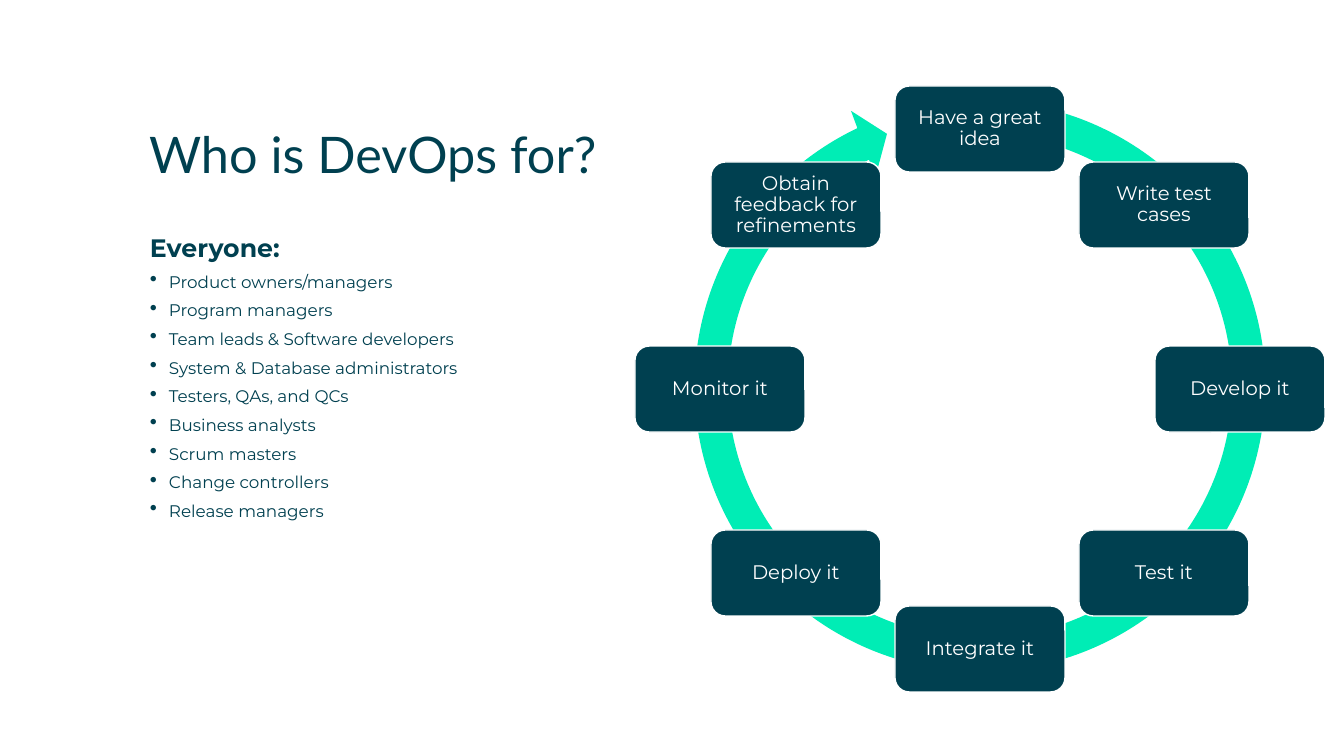
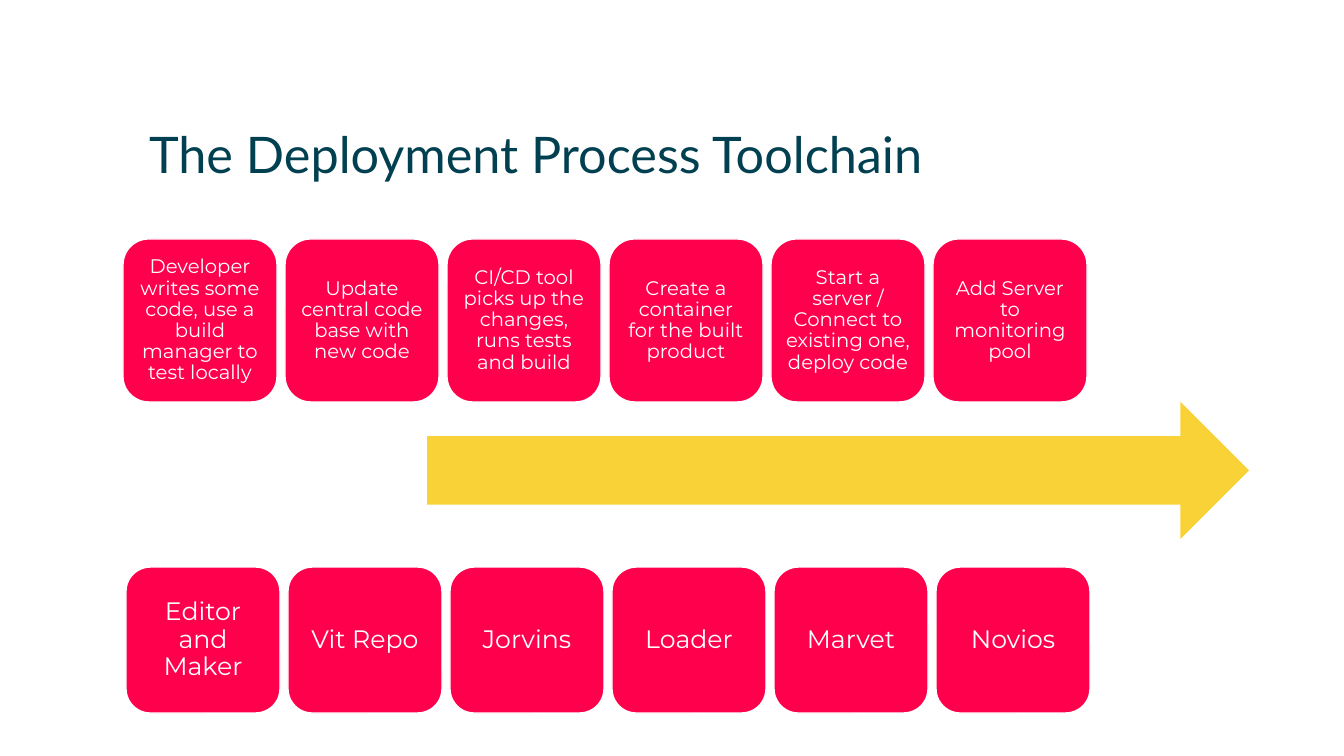
from math import cos, radians, sin

from lxml.etree import SubElement
from pptx import Presentation
from pptx.dml.color import RGBColor
from pptx.enum.shapes import MSO_SHAPE as Shape
from pptx.enum.text import MSO_ANCHOR as Anchor, MSO_AUTO_SIZE as AutoSize, PP_ALIGN as Align
from pptx.oxml.ns import qn
from pptx.util import Emu, Pt

# Shared look
TEAL, MINT, RED, YELLOW, WHITE = "004050", "00EDB5", "FF004C", "F8D237", "FFFFFF"
TITLE_FONT, BODY_FONT = "Lato", "Montserrat"
TITLE_BOX = (149, 125, 1046, 76)
TITLE_ONLY = 5
MARGINS = ("margin_left", "margin_top", "margin_right", "margin_bottom")

# Content
AUDIENCE = [
    "Product owners/managers", "Program managers", "Team leads & Software developers",
    "System & Database administrators", "Testers, QAs, and QCs", "Business analysts",
    "Scrum masters", "Change controllers", "Release managers",
]
CYCLE_STEPS = [
    "Have a great idea", "Write test cases", "Develop it", "Test it",
    "Integrate it", "Deploy it", "Monitor it", "Obtain feedback for refinements",
]
PROCESS_STEPS = [
    "Developer writes some code, use a build manager to test locally",
    "Update central code base with new code",
    "CI/CD tool picks up the changes, runs tests and build",
    "Create a container for the built product",
    "Start a server / Connect to existing one, deploy code",
    "Add Server to monitoring pool",
]
TOOLS = ["Editor and Maker", "Vit Repo", "Jorvins", "Loader", "Marvet", "Novios"]


def px(length):
    return Emu(round(length * 914400 / 100.8))


def color(hex_code):
    return RGBColor.from_string(hex_code)


def apply(target, **formats):
    for name, value in formats.items():
        setattr(target, name, value)


def set_frame(frame, inset=0, anchor=Anchor.TOP):
    apply(frame, word_wrap=True, auto_size=AutoSize.NONE, vertical_anchor=anchor,
          **dict.fromkeys(MARGINS, px(inset)))


def write(paragraph, text, size, hex_code, font=BODY_FONT, bold=False, **formats):
    run = paragraph.add_run()
    run.text = text
    apply(run.font, name=font, size=Pt(size), bold=bold)
    run.font.color.rgb = color(hex_code)
    apply(paragraph, **formats)


def add_titled_slide(deck, text):
    slide = deck.slides.add_slide(deck.slide_layouts[TITLE_ONLY])
    title = slide.shapes.title
    apply(title, **dict(zip(("left", "top", "width", "height"), map(px, TITLE_BOX))))
    set_frame(title.text_frame)
    write(title.text_frame.paragraphs[0], text, 36, TEAL, TITLE_FONT,
          alignment=Align.LEFT, line_spacing=Pt(42))
    return slide


def add_filled(slide, preset, box, fill):
    shape = slide.shapes.add_shape(preset, *map(px, box))
    shape.shadow.inherit = False
    shape.fill.solid()
    shape.fill.fore_color.rgb = color(fill)
    shape.line.fill.background()
    return shape


def add_card(slide, text, box, fill, size, inset):
    card = add_filled(slide, Shape.ROUNDED_RECTANGLE, box, fill)
    card.line.color.rgb = color(WHITE)
    card.line.width = Pt(1)
    set_frame(card.text_frame, inset, Anchor.MIDDLE)
    write(card.text_frame.paragraphs[0], text, size, WHITE,
          alignment=Align.CENTER, line_spacing=0.9)


def add_bullet(paragraph):
    properties = paragraph._p.get_or_add_pPr()
    indent = px(19)
    properties.set("marL", str(indent))
    properties.set("indent", str(-indent))
    SubElement(properties, qn("a:buSzPct")).set("val", "125000")
    SubElement(properties, qn("a:buChar")).set("char", "•")


def add_audience(slide, heading, members, box):
    frame = slide.shapes.add_textbox(*map(px, box)).text_frame
    set_frame(frame)
    write(frame.paragraphs[0], heading, 18, TEAL, bold=True,
          line_spacing=Pt(22), space_after=Pt(6.5))
    for member in members:
        paragraph = frame.add_paragraph()
        write(paragraph, member, 12, TEAL, line_spacing=Pt(14), space_after=Pt(6.5))
        add_bullet(paragraph)


def add_cycle(slide, steps):
    ring = add_filled(slide, Shape.CIRCULAR_ARROW, (676, 82, 608, 608), MINT)
    for index, value in enumerate((0.055, 3.307, 146.547, 168.711, 0.058)):
        ring.adjustments[index] = value
    # Steps sit at equal angles, clockwise from the top
    center_x, center_y, radius, width, height = 980, 389, 260, 170, 86
    for index, step in enumerate(steps):
        angle = radians(360 * index / len(steps))
        left = round(center_x + radius * sin(angle) - width / 2)
        top = round(center_y - radius * cos(angle) - height / 2)
        add_card(slide, step, (left, top, width, height), TEAL, 14, 6)


def add_card_row(slide, texts, left, top, height, size, inset):
    width, pitch = 154, 162
    for index, text in enumerate(texts):
        add_card(slide, text, (left + index * pitch, top, width, height), RED, size, inset)


def main():
    deck = Presentation()
    apply(deck, slide_width=px(1344), slide_height=px(756))

    # Audience and development cycle
    audience = add_titled_slide(deck, "Who is DevOps for?")
    add_audience(audience, "Everyone:", AUDIENCE, (150, 232, 1045, 483))
    add_cycle(audience, CYCLE_STEPS)

    # Process steps above the tools that serve them
    toolchain = add_titled_slide(deck, "The Deployment Process Toolchain")
    add_filled(toolchain, Shape.RIGHT_ARROW, (427, 402, 822, 137), YELLOW)
    add_card_row(toolchain, TOOLS, 126, 567, 146, 18, 10)
    add_card_row(toolchain, PROCESS_STEPS, 123, 239, 163, 14, 7)

    deck.save("out.pptx")


if __name__ == "__main__":
    main()
